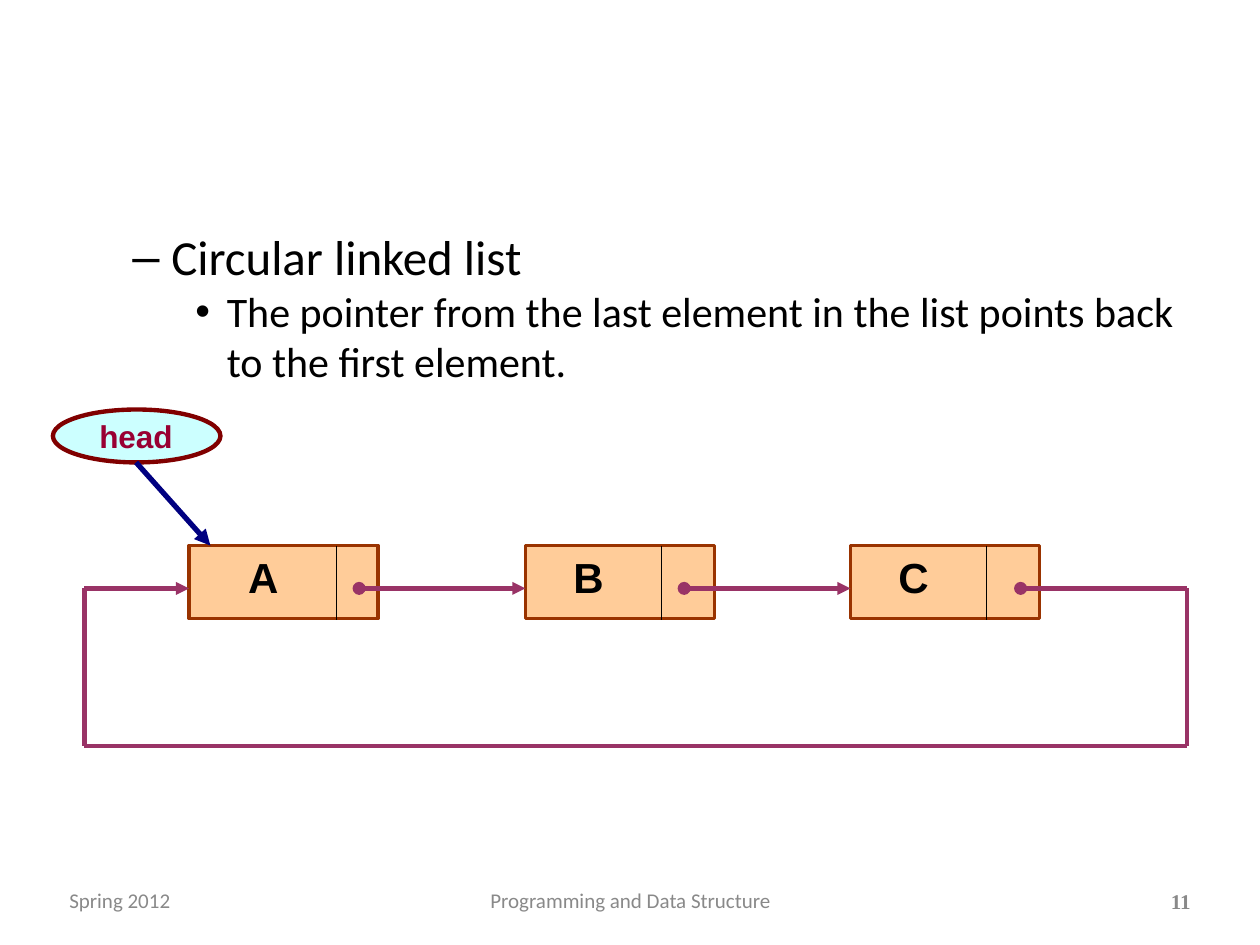
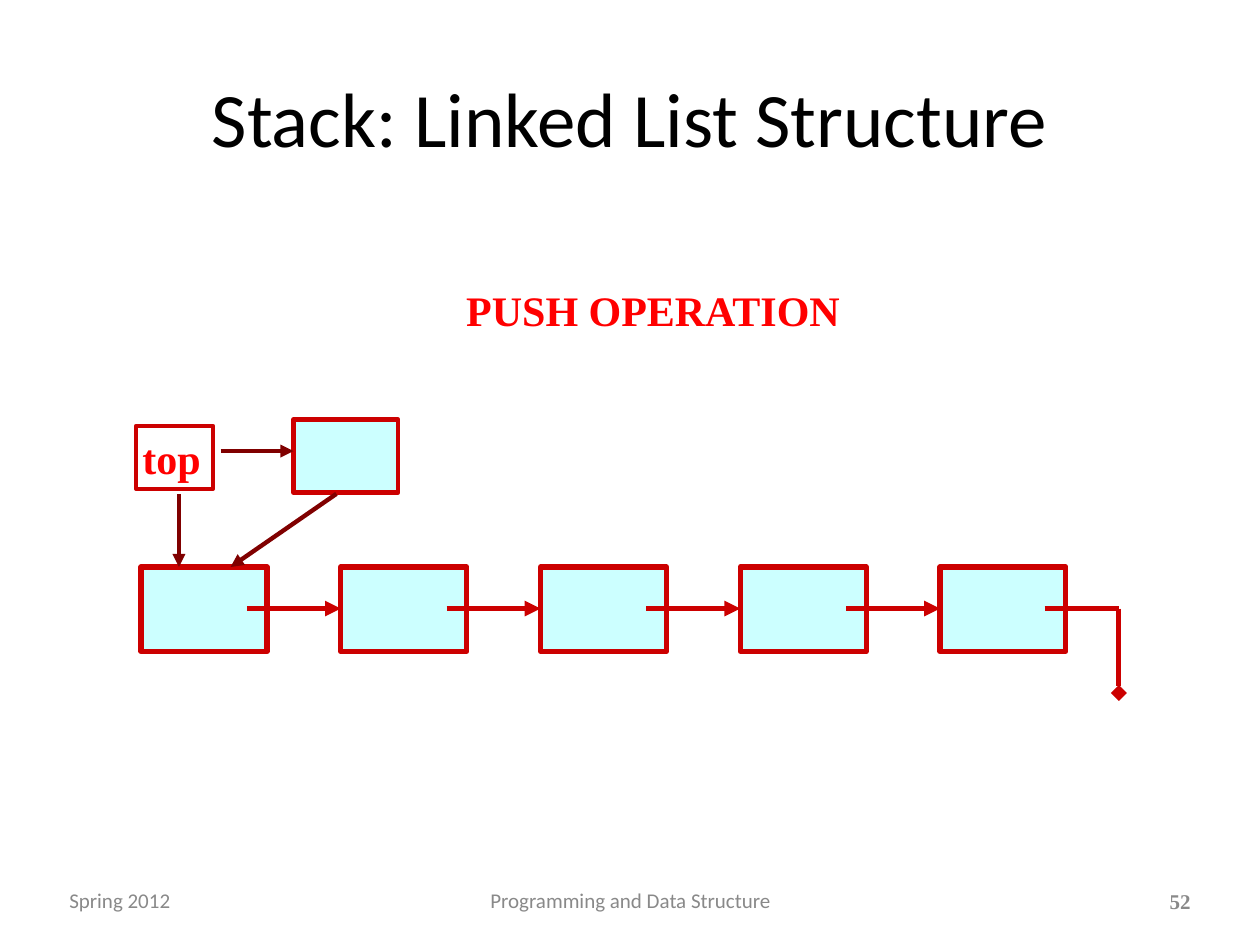
import pptx
import pptx.dml.color
import pptx.enum.shapes
import pptx.enum.text
import pptx.oxml.ns
import pptx.util
from lxml import etree

Inches = pptx.util.Inches
Pt = pptx.util.Pt
RGBColor = pptx.dml.color.RGBColor
Shape = pptx.enum.shapes.MSO_SHAPE
Align = pptx.enum.text.PP_ALIGN
Anchor = pptx.enum.text.MSO_ANCHOR
AutoSize = pptx.enum.text.MSO_AUTO_SIZE
qn = pptx.oxml.ns.qn

BLACK = RGBColor(0x00, 0x00, 0x00)
GREY = RGBColor(0x89, 0x89, 0x89)
PEACH = RGBColor(0xFF, 0xCC, 0x99)
BROWN = RGBColor(0x99, 0x33, 0x00)
PLUM = RGBColor(0x99, 0x33, 0x66)
CRIMSON = RGBColor(0x99, 0x00, 0x33)
MAROON = RGBColor(0x80, 0x00, 0x00)
NAVY = RGBColor(0x00, 0x00, 0x80)
AQUA = RGBColor(0xCC, 0xFF, 0xFF)
DARK_RED = RGBColor(0xCC, 0x00, 0x00)
RED = RGBColor(0xFF, 0x00, 0x00)

SANS, SERIF, LABEL = "Calibri", "Times New Roman", "Arial"


def write(frame, text, font=SANS, size=12, color=BLACK, bold=False,
          align=Align.LEFT, anchor=Anchor.TOP, wrap=True, grow=True,
          before=0, new=False):
    """Write one formatted paragraph into a text frame and return it."""
    frame.margin_left = frame.margin_right = Inches(0.05)
    frame.margin_top = frame.margin_bottom = Inches(0.05)
    frame.word_wrap = wrap
    frame.vertical_anchor = anchor
    frame.auto_size = AutoSize.SHAPE_TO_FIT_TEXT if grow else AutoSize.NONE
    para = frame.add_paragraph() if new else frame.paragraphs[0]
    para.alignment = align
    para.space_before = Pt(before)
    span = para.add_run()
    span.text = text
    span.font.name = font
    span.font.size = Pt(size)
    span.font.bold = bold
    span.font.color.rgb = color
    return para


def set_bullet(para, mark, left, hang):
    """Give a paragraph a bullet with a hanging indent in inches."""
    properties = para._p.get_or_add_pPr()
    properties.set("marL", str(Inches(left)))
    properties.set("indent", str(-Inches(hang)))
    etree.SubElement(properties, qn("a:buFont")).set("typeface", LABEL)
    etree.SubElement(properties, qn("a:buChar")).set("char", mark)


class Lecture:
    """Holds the deck style and the current page."""

    def __init__(self):
        """Start an empty 10 by 7.5 inch deck."""
        self.deck = pptx.Presentation()
        self.deck.slide_width = Inches(10)
        self.deck.slide_height = Inches(7.5)
        self.page = None

    def add_page(self, number):
        """Add a blank page with the shared footer."""
        self.page = self.deck.slides.add_slide(self.deck.slide_layouts[6])
        footer = dict(color=GREY, anchor=Anchor.MIDDLE)
        self.text("Spring 2012", 0.5, 7, 2.33, 0.29, **footer)
        self.text("Programming and Data Structure", 3.42, 7, 3.17, 0.29,
                  align=Align.CENTER, **footer)
        self.text(str(number), 9.22, 7, 0.28, 0.3, font=SERIF, bold=True,
                  align=Align.RIGHT, wrap=False, **footer)

    def frame(self, left, top, width, height):
        """Add a text box and return its text frame."""
        return self.page.shapes.add_textbox(
            Inches(left), Inches(top), Inches(width), Inches(height)).text_frame

    def text(self, text, left, top, width, height, **style):
        """Add a text box with one paragraph."""
        write(self.frame(left, top, width, height), text, **style)

    def title(self, text):
        """Add the page title."""
        self.text(text, 0.5, 0.3, 9, 1.25, size=44, align=Align.CENTER,
                  anchor=Anchor.MIDDLE, grow=False)

    def body(self, heading, detail):
        """Add a dashed heading with a bulleted detail below it."""
        frame = self.frame(0.5, 1.75, 9, 4.95)
        para = write(frame, heading, size=28, grow=False)
        para.level = 1
        set_bullet(para, "\u2013", 0.81, 0.31)
        para = write(frame, detail, size=24, grow=False, new=True)
        para.level = 2
        set_bullet(para, "\u2022", 1.25, 0.25)

    def shape(self, left, top, width, height, line, weight, fill=None,
              kind=Shape.RECTANGLE):
        """Add an outlined shape, filled if a fill is given."""
        box = self.page.shapes.add_shape(
            kind, Inches(left), Inches(top), Inches(width), Inches(height))
        box.shadow.inherit = False
        if fill is None:
            box.fill.background()
        else:
            box.fill.solid()
            box.fill.fore_color.rgb = fill
        box.line.color.rgb = line
        box.line.width = Pt(weight)
        return box

    def line(self, start, end, color, weight, head=None, tail=None):
        """Add a straight line with optional end marks."""
        points = [Inches(value) for value in (*start, *end)]
        line = self.page.shapes.add_connector(
            pptx.enum.shapes.MSO_CONNECTOR.STRAIGHT, *points)
        line.line.color.rgb = color
        line.line.width = Pt(weight)
        outline = line.line._get_or_add_ln()
        for tag, mark in (("a:headEnd", head), ("a:tailEnd", tail)):
            if mark:
                etree.SubElement(outline, qn(tag)).set("type", mark)
        etree.SubElement(line._element.spPr, qn("a:effectLst"))

    def route(self, points, color, weight, tail=None):
        """Join points with lines, marking the end of the last one."""
        for index, (start, end) in enumerate(zip(points, points[1:]), 2):
            mark = tail if index == len(points) else None
            self.line(start, end, color, weight, tail=mark)


def circular_list(lecture):
    """Build the page on circular linked lists."""
    lecture.add_page(11)
    lecture.body("Circular linked list",
                 "The pointer from the last element in the list points back "
                 "to the first element.")
    top, bottom, middle, pitch = 4.33, 4.92, 4.67, 2.58
    node_lefts = (1.5, 4.17, 6.75)
    right, left, low = 9.42, 0.67, 5.92
    for left_edge in node_lefts:
        lecture.shape(left_edge, top, 1.5, 0.58, BROWN, 2, PEACH)
    pointers = zip((2.85, 5.43, 8.1), (*node_lefts[1:], right),
                   ("triangle", "triangle", None))
    for start, end, tail in pointers:
        lecture.line((start, middle), (end, middle), PLUM, 2.5, "oval", tail)
    for index, letter in enumerate("ABC"):
        divider = 2.67 + index * pitch
        lecture.line((divider, top), (divider, bottom), BLACK, 0.75)
        lecture.text(letter, 1.92 + index * pitch, top, 0.67, 0.48,
                     font=LABEL, size=24, bold=True, before=14)
    lecture.route([(right, middle), (right, low), (left, low), (left, middle),
                   (node_lefts[0], middle)], PLUM, 2.5, "triangle")
    lecture.shape(0.42, 3.25, 1.33, 0.42, MAROON, 2.5, AQUA, Shape.OVAL)
    lecture.text("head", 0.73, 3.27, 0.7, 0.38, font=LABEL, size=18,
                 color=CRIMSON, bold=True, align=Align.CENTER,
                 anchor=Anchor.MIDDLE, wrap=False)
    lecture.line((1.08, 3.67), (1.67, top), NAVY, 3, tail="triangle")


def stack_push(lecture):
    """Build the page on pushing to a linked stack."""
    lecture.add_page(52)
    lecture.title("Stack: Linked List Structure")
    red_label = dict(font=SERIF, size=24, color=RED, bold=True, wrap=False)
    top, middle = 4.5, 4.83
    first, last, count = 1.12, 7.46, 5
    pitch = (last - first) / (count - 1)
    lefts = [first + index * pitch for index in range(count)]
    for left in lefts:
        lecture.shape(left, top, 1, 0.67, DARK_RED, 3, AQUA)
    for left, following in zip(lefts, lefts[1:]):
        lecture.line((left + 0.84, middle), (following, middle), DARK_RED, 3,
                     tail="triangle")
    lecture.route([(last + 0.83, middle), (8.88, middle), (8.88, 5.5)],
                  DARK_RED, 3, "diamond")
    top_box = lecture.shape(1.08, 3.38, 0.61, 0.5, DARK_RED, 2.5)
    write(top_box.text_frame, "top", **red_label)
    lecture.shape(2.33, 3.33, 0.83, 0.58, DARK_RED, 2.5, AQUA)
    for start, end in (((1.42, 3.92), (1.42, top)),
                       ((1.75, 3.58), (2.33, 3.58)),
                       ((2.67, 3.92), (1.83, top))):
        lecture.line(start, end, MAROON, 2.5, tail="triangle")
    lecture.text("PUSH OPERATION", 3.65, 2.21, 3.08, 0.46, **red_label)


lecture = Lecture()
circular_list(lecture)
stack_push(lecture)
lecture.deck.save("out.pptx")
